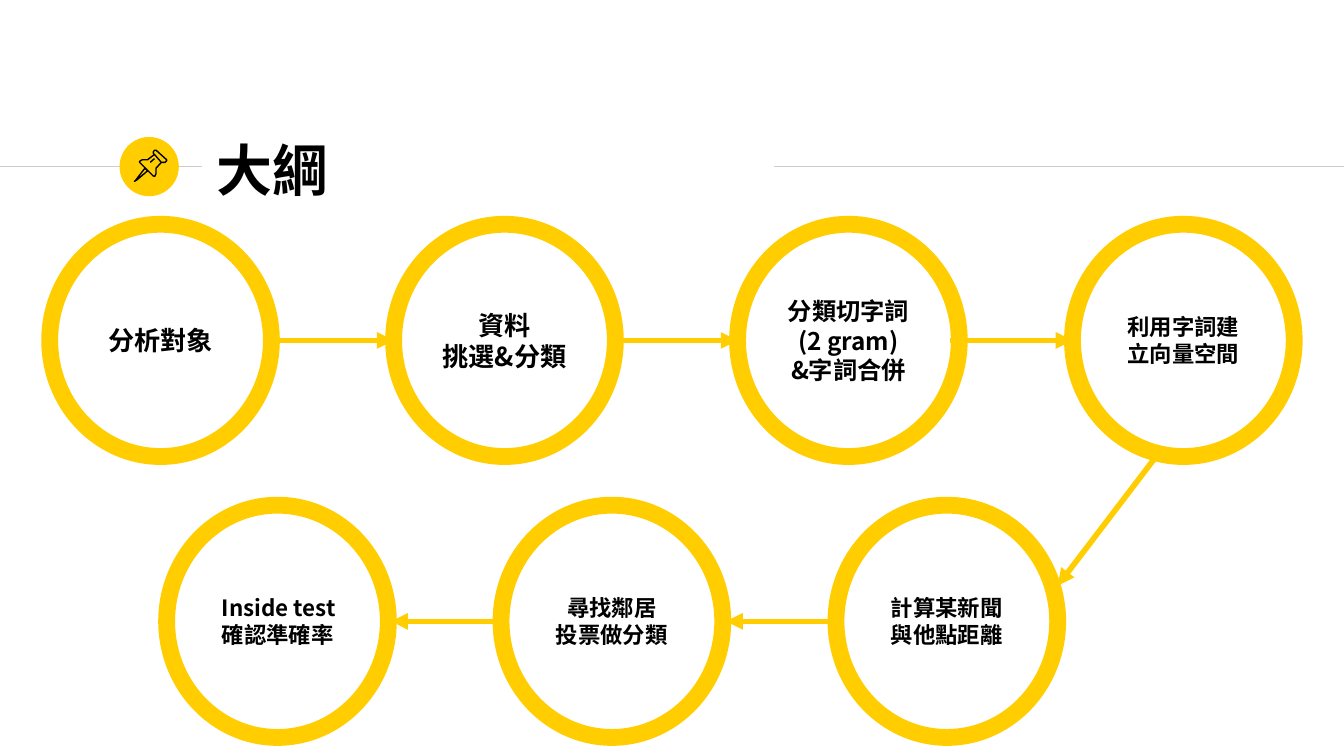
"""Build the outline slide: seven ringed steps joined by arrows."""
from lxml import etree
from pptx import Presentation
from pptx.dml.color import RGBColor
from pptx.enum.shapes import MSO_CONNECTOR, MSO_SHAPE
from pptx.enum.text import MSO_ANCHOR, PP_ALIGN
from pptx.oxml.ns import qn
from pptx.util import Cm, Pt

OVAL, STRAIGHT = MSO_SHAPE.OVAL, MSO_CONNECTOR.STRAIGHT
MIDDLE = MSO_ANCHOR.MIDDLE
LEFT, CENTER = PP_ALIGN.LEFT, PP_ALIGN.CENTER
FONT = "Noto Sans CJK TC"
YELLOW, BLACK, GREY = "FFCD00", "000000", "CCCCCC"
INSET = 0.25
RING_WIDTH, RING_HEIGHT = 4.19, 4.39
UPPER_TOP, LOWER_TOP = 4.24, 9.55
UPPER_STEPS = [
    (0.94, 14, ["分析對象"]),
    (7.44, 14, ["資料", "挑選&分類"]),
    (13.94, 13, ["分類切字詞(2 gram)", "&字詞合併"]),
    (20.27, 12, ["利用字詞建立向量空間"]),
]
LOWER_STEPS = [
    (15.8, 12, ["計算某新聞與他點距離"], CENTER, 0),
    (9.47, 12, ["尋找鄰居", "投票做分類"], CENTER, 0),
    (3.15, 12, ["Inside test", "確認準確率"], LEFT, 0.18),
]
PIN_OUTLINES = [
    ([(274, 318), (257, 340), (254, 343), (259, 340), (279, 323)], True),
    ([(292, 292), (305, 307), (312, 307), (315, 304), (315, 302),
      (295, 284), (292, 284), (290, 287), (290, 290)], True),
    ([(292, 292), (279, 302), (269, 302), (264, 305), (264, 307),
      (290, 333), (293, 333), (295, 328), (295, 318), (305, 307)], False),
    ([(284, 307), (292, 300)], False),
]


def color(value):
    return RGBColor.from_string(value)


def set_line(shape, value, width):
    shape.line.color.rgb = color(value)
    shape.line.width = Pt(width)


def write(shape, lines, size, align=LEFT, indent=0):
    frame = shape.text_frame
    frame.word_wrap = True
    frame.vertical_anchor = MIDDLE
    frame.margin_top = frame.margin_bottom = frame.margin_right = Cm(INSET)
    frame.margin_left = Cm(INSET + indent)
    frame.text = "\n".join(lines)
    for para in frame.paragraphs:
        para.alignment = align
        font = para.font
        font.size, font.bold, font.name = Pt(size), True, FONT
        font.color.rgb = color(BLACK)
        properties = para._p.pPr.find(qn("a:defRPr"))
        etree.SubElement(properties, qn("a:ea"), typeface=FONT)


def add_oval(page, left, top, width, height):
    oval = page.shapes.add_shape(OVAL, Cm(left), Cm(top), Cm(width), Cm(height))
    oval.shadow.inherit = False
    return oval


def add_ring(page, top, left, size, lines, align=CENTER, indent=0):
    ring = add_oval(page, left, top, RING_WIDTH, RING_HEIGHT)
    ring.fill.background()
    set_line(ring, YELLOW, 9)
    write(ring, lines, size, align, indent)


def add_line(page, start, end, value, width):
    line = page.shapes.add_connector(STRAIGHT, *map(Cm, start + end))
    set_line(line, value, width)
    etree.SubElement(line._element.spPr, qn("a:effectLst"))
    return line


def add_arrow(page, start, end):
    arrow = add_line(page, start, end, YELLOW, 3)
    etree.SubElement(arrow.line._get_or_add_ln(), qn("a:tailEnd"), type="triangle")


def add_pin(page):
    badge = add_oval(page, 2.26, 2.59, 1.12, 1.12)
    badge.fill.solid()
    badge.fill.fore_color.rgb = color(YELLOW)
    badge.line.fill.background()
    for points, closed in PIN_OUTLINES:
        builder = page.shapes.build_freeform(*points[0], scale=Cm(0.01))
        builder.add_line_segments(points[1:], close=closed)
        outline = builder.convert_to_shape()
        outline.shadow.inherit = False
        outline.fill.background()
        set_line(outline, BLACK, 0.75)


def add_header(page):
    for start, end in ((0, 3.81), (14.63, 25.4)):
        add_line(page, (start, 3.15), (end, 3.15), GREY, 0.75)
    add_pin(page)
    title = page.shapes.add_textbox(Cm(3.84), Cm(2.59), Cm(10.77), Cm(1.22))
    write(title, ["大綱"], 30)


def main():
    deck = Presentation()
    deck.slide_width, deck.slide_height = Cm(25.4), Cm(14.29)
    page = deck.slides.add_slide(deck.slide_layouts[6])
    add_header(page)
    for top, steps in ((UPPER_TOP, UPPER_STEPS), (LOWER_TOP, LOWER_STEPS)):
        for step in steps:
            add_ring(page, top, *step)
    upper_middle = UPPER_TOP + RING_HEIGHT / 2
    lower_middle = LOWER_TOP + RING_HEIGHT / 2
    for left, *_ in UPPER_STEPS[1:]:
        add_arrow(page, (left - 2.31, upper_middle), (left, upper_middle))
    add_arrow(page, (21.84, 8.64), (19.99, 11.07))
    for left, *_ in LOWER_STEPS[:-1]:
        add_arrow(page, (left - 0.08, lower_middle), (left - 2.08, lower_middle))
    deck.save("out.pptx")


main()
